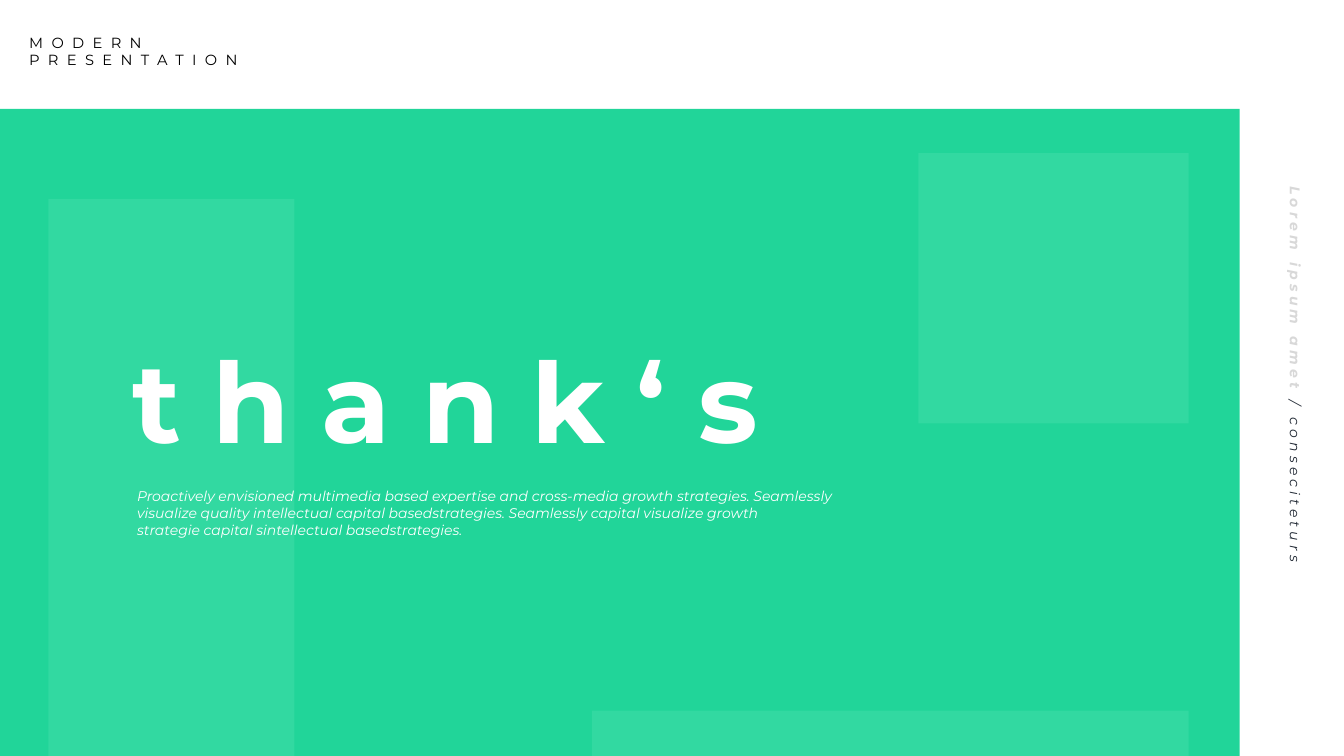
from lxml import etree
from pptx import Presentation
from pptx.dml.color import RGBColor
from pptx.enum import shapes, text
from pptx.oxml.ns import qn
from pptx.util import Pt

COLORS = {
    "green": "21D599",
    "mint": "76EAC3",
    "white": "FFFFFF",
    "black": "000000",
    "gray": "D8D8D8",
    "navy": "222A35",
}
FONT = "Montserrat"


def rgb(name):
    return RGBColor.from_string(COLORS[name])


def add_panel(s, x, y, w, h, color, opacity=100):
    sp = s.shapes.add_shape(shapes.MSO_SHAPE.RECTANGLE, Pt(x), Pt(y), Pt(w), Pt(h))
    sp.shadow.inherit = False
    sp.line.fill.background()
    sp.fill.solid()
    sp.fill.fore_color.rgb = rgb(color)
    if opacity < 100:
        clr = sp._element.spPr.find(qn("a:solidFill")).find(qn("a:srgbClr"))
        etree.SubElement(clr, qn("a:alpha")).set("val", str(opacity * 1000))


def set_frame(tf, inset=True):
    tf.word_wrap = True
    tf.auto_size = text.MSO_AUTO_SIZE.NONE
    tf.vertical_anchor = text.MSO_ANCHOR.TOP
    tf.margin_left = tf.margin_right = Pt(7.2 if inset else 0)
    tf.margin_top = tf.margin_bottom = Pt(3.6 if inset else 0)


def style(p, size, color, bold=False, italic=False, tracking=0):
    """Format a whole paragraph; tracking is letter spacing in points."""
    p.alignment = text.PP_ALIGN.LEFT
    p.font.name = FONT
    p.font.size = Pt(size)
    p.font.bold = bold
    p.font.italic = italic
    p.font.color.rgb = rgb(color)
    if tracking:
        p._p.pPr.find(qn("a:defRPr")).set("spc", str(tracking * 100))


def add_text(s, x, y, w, h, lines, size, color, **look):
    sp = s.shapes.add_textbox(Pt(x), Pt(y), Pt(w), Pt(h))
    tf = sp.text_frame
    set_frame(tf, inset=False)
    tf.text = "\n".join(lines)
    for p in tf.paragraphs:
        style(p, size, color, **look)


def add_side_label(s, strong, light):
    sp = s.shapes.add_textbox(Pt(668.2), Pt(260), Pt(515.5), Pt(20.2))
    sp.rotation = 90
    set_frame(sp.text_frame)
    p = sp.text_frame.paragraphs[0]
    style(p, 10, "gray", italic=True, tracking=3)
    p.alignment = text.PP_ALIGN.CENTER
    p.line_spacing = 1.1
    for words, color, bold in ((strong, "gray", True), (light, "navy", False)):
        r = p.add_run()
        r.text = words
        r.font.bold = bold
        r.font.color.rgb = rgb(color)


def set_title(s, words):
    """Fill the title placeholder and bring it in front of the panels."""
    sp = s.shapes.title
    sp.left, sp.top, sp.width, sp.height = Pt(87.1), Pt(233.3), Pt(546.5), Pt(104.4)
    set_frame(sp.text_frame)
    sp.text_frame.text = words
    p = sp.text_frame.paragraphs[0]
    p.line_spacing = 1.0
    style(p, 80, "white", bold=True)
    s.shapes._spTree.append(sp._element)


def main():
    prs = Presentation()
    prs.slide_width, prs.slide_height = Pt(960), Pt(540)
    s = prs.slides.add_slide(prs.slide_layouts[5])

    add_panel(s, 0, 77.8, 885.6, 462.2, "green")
    for x, y, w, h in (
        (34.6, 142, 175.7, 398),
        (656, 109.4, 193, 193),
        (422.8, 507.6, 426.2, 32.4),
    ):
        add_panel(s, x, y, w, h, "mint", opacity=20)

    add_text(s, 20.9, 23.8, 206.6, 25.2, ["MODERN", "PRESENTATION"],
             10.5, "black", tracking=6)
    add_side_label(s, "Lorem ipsum amet ", "/ conseciteturs ")
    set_title(s, "t h a n k ‘ s")
    add_text(s, 97.9, 348.5, 498.2, 36, [
        "Proactively envisioned multimedia based expertise and cross-media growth "
        "strategies. Seamlessly visualize quality intellectual capital "
        "basedstrategies. Seamlessly capital visualize growth",
        "strategie capital sintellectual basedstrategies.",
    ], 10, "white", italic=True)

    prs.save("out.pptx")


if __name__ == "__main__":
    main()
